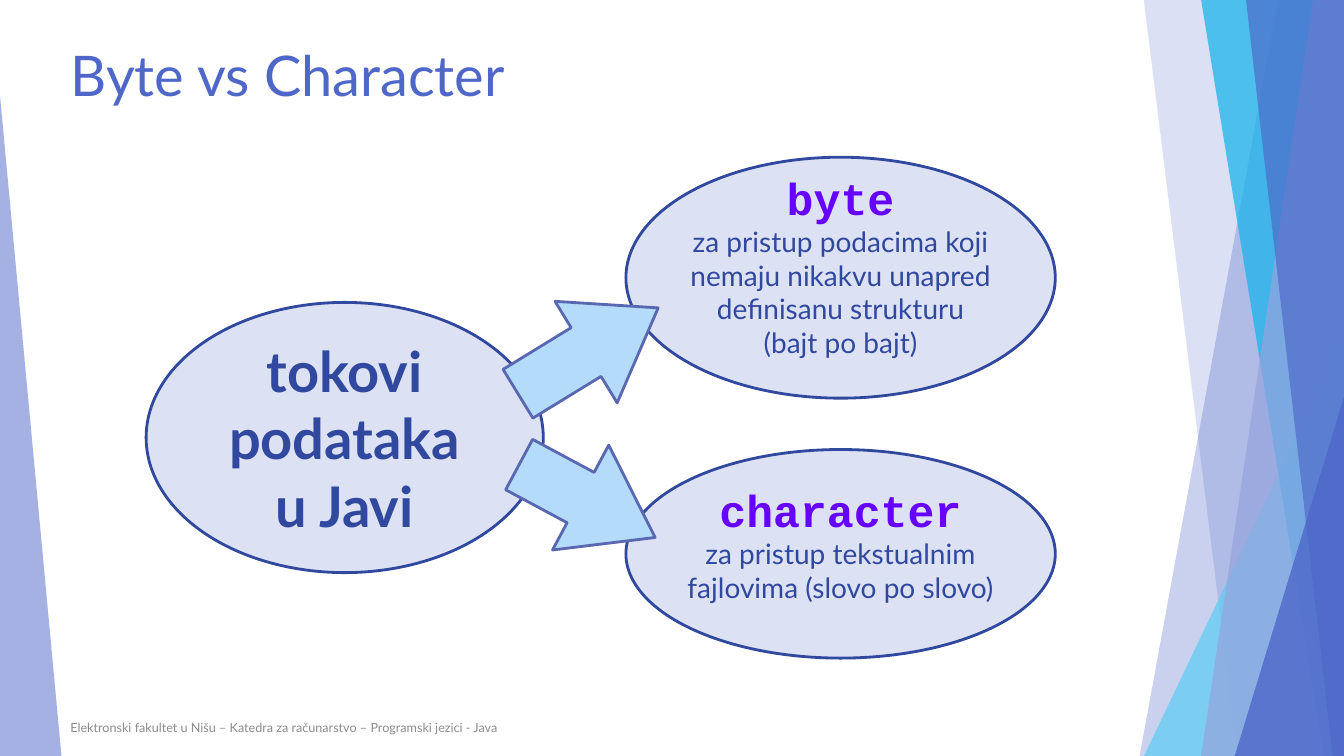
import pptx
import pptx.util
import pptx.dml.color
import pptx.enum.shapes
import pptx.enum.text
import pptx.oxml.ns
import lxml.etree

Pt = pptx.util.Pt
SHAPES = pptx.enum.shapes.MSO_SHAPE
ALIGN = pptx.enum.text.PP_ALIGN
ANCHOR = pptx.enum.text.MSO_ANCHOR
WIDTH, HEIGHT = 960, 540
NAVY, BLUE, PURPLE = "31489F", "4E67C8", "6600FF"


def color(value):
    """Turn a hex string into a colour."""
    return pptx.dml.color.RGBColor.from_string(value)


def paint(shape, fill, line=None, opacity=100):
    """Set the fill, its opacity and the outline of a shape."""
    shape.shadow.inherit = False
    shape.fill.solid()
    shape.fill.fore_color.rgb = color(fill)
    if opacity < 100:
        solid = shape.fill._xPr.find(pptx.oxml.ns.qn("a:solidFill"))
        alpha = lxml.etree.SubElement(solid[0], pptx.oxml.ns.qn("a:alpha"))
        alpha.set("val", str(opacity * 1000))
    if line:
        shape.line.color.rgb = color(line)
        shape.line.width = Pt(2)
    else:
        shape.line.fill.background()


def format_text(paragraph, size, value, font="Lato", bold=False, align=ALIGN.LEFT):
    """Format a paragraph and all its runs."""
    paragraph.alignment = align
    for run in paragraph.runs:
        run.font.size = Pt(size)
        run.font.name = font
        run.font.bold = bold
        run.font.color.rgb = color(value)


def add_preset(slide, kind, box, fill, line=None, opacity=100, adjustments=()):
    """Add a painted preset shape."""
    shape = slide.shapes.add_shape(kind, *map(Pt, box))
    for index, adjustment in enumerate(adjustments):
        shape.adjustments[index] = adjustment
    paint(shape, fill, line, opacity)
    return shape


def add_band(slide, top_left, bottom_left, fill, opacity):
    """Add a slanted band that reaches the right edge of the slide."""
    builder = slide.shapes.build_freeform(top_left, 0, scale=Pt(1))
    builder.add_line_segments(
        [(WIDTH, 0), (WIDTH, HEIGHT), (bottom_left, HEIGHT)], close=True)
    paint(builder.convert_to_shape(), fill, opacity=opacity)


def add_triangle(slide, left, top, width, apex, fill, opacity):
    """Add a right triangle that stands on the bottom edge."""
    add_preset(slide, SHAPES.ISOSCELES_TRIANGLE, (left, top, width, HEIGHT - top),
               fill, opacity=opacity, adjustments=[apex])


def add_decoration(slide):
    """Add the translucent facets at both sides."""
    add_band(slide, 913, 813.6, BLUE, 30)
    add_band(slide, 817.2, 884.2, BLUE, 20)
    add_triangle(slide, 817.2, 240.5, 142.8, 1, "5ECCF3", 72)
    add_band(slide, 858.2, 946, "12B2EB", 70)
    add_band(slide, 938.2, 858.2, "95A4DE", 70)
    add_band(slide, 889.9, 951.8, BLUE, 65)
    add_triangle(slide, 882, 283.7, 78, 1, BLUE, 80)
    add_triangle(slide, 0, 68.4, 43.9, 0, "95A4DE", 85)


def add_ellipse(slide, box, lines, bottom_inset=3.6):
    """Add an ellipse with centred lines of (text, size, colour, font, bold)."""
    shape = add_preset(slide, SHAPES.OVAL, box, "DCE1F4", NAVY)
    frame = shape.text_frame
    frame.word_wrap = False
    frame.vertical_anchor = ANCHOR.MIDDLE
    frame.margin_bottom = Pt(bottom_inset)
    frame.text = "\n".join(line[0] for line in lines)
    for paragraph, (_, *style) in zip(frame.paragraphs, lines):
        format_text(paragraph, *style, align=ALIGN.CENTER)


def add_stream(slide, top, height, keyword, description, bottom_inset):
    """Add the ellipse of one stream type."""
    lines = [(keyword, 32, PURPLE, "Courier New", True)]
    lines += [(text, 20, NAVY, "Lato", False) for text in description]
    add_ellipse(slide, (447.1, top, 306.7, height), lines, bottom_inset)


def add_arrow(slide, box, rotation):
    """Add a turned block arrow."""
    arrow = add_preset(slide, SHAPES.RIGHT_ARROW, box, "B4DCFA", "5968B0",
                       adjustments=[0.48, 0.71])
    arrow.rotation = rotation


def add_title(slide, text):
    """Fill and place the title placeholder."""
    title = slide.shapes.title
    title.left, title.top, title.width, title.height = map(Pt, (43.2, 25.2, 790.6, 51.1))
    frame = title.text_frame
    frame.text = text
    frame.vertical_anchor = ANCHOR.TOP
    frame.auto_size = pptx.enum.text.MSO_AUTO_SIZE.NONE
    format_text(frame.paragraphs[0], 40, BLUE)


def add_footer(slide, text):
    """Add the small line at the bottom."""
    box = slide.shapes.add_textbox(*map(Pt, (43.2, 505.4, 506.2, 28.8)))
    frame = box.text_frame
    frame.word_wrap = True
    frame.vertical_anchor = ANCHOR.MIDDLE
    frame.text = text
    format_text(frame.paragraphs[0], 9, "8C8C8C")


def main():
    """Build the slide and save it."""
    presentation = pptx.Presentation()
    presentation.slide_width, presentation.slide_height = Pt(WIDTH), Pt(HEIGHT)
    slide = presentation.slides.add_slide(presentation.slide_layouts[5])
    add_decoration(slide)
    add_title(slide, "Byte vs Character")
    add_footer(slide, "Elektronski fakultet u Nišu – Katedra za računarstvo"
                      " – Programski jezici - Java")
    add_ellipse(slide, (104.4, 216, 283.7, 193),
                [(text, 40, NAVY, "Lato", True) for text in ("tokovi", "podataka", "u Javi")])
    add_stream(slide, 112.3, 172.1, "byte",
               ["za pristup podacima koji", "nemaju nikakvu unapred",
                "definisanu strukturu", "(bajt po bajt)"], 22)
    add_stream(slide, 321.1, 149, "character",
               ["za pristup tekstualnim", "fajlovima (slovo po slovo)"], 18)
    add_arrow(slide, (361.4, 208.1, 117.4, 85), 328.5)
    add_arrow(slide, (364.3, 315.4, 110.2, 85), 28.2)
    presentation.save("out.pptx")


if __name__ == "__main__":
    main()
